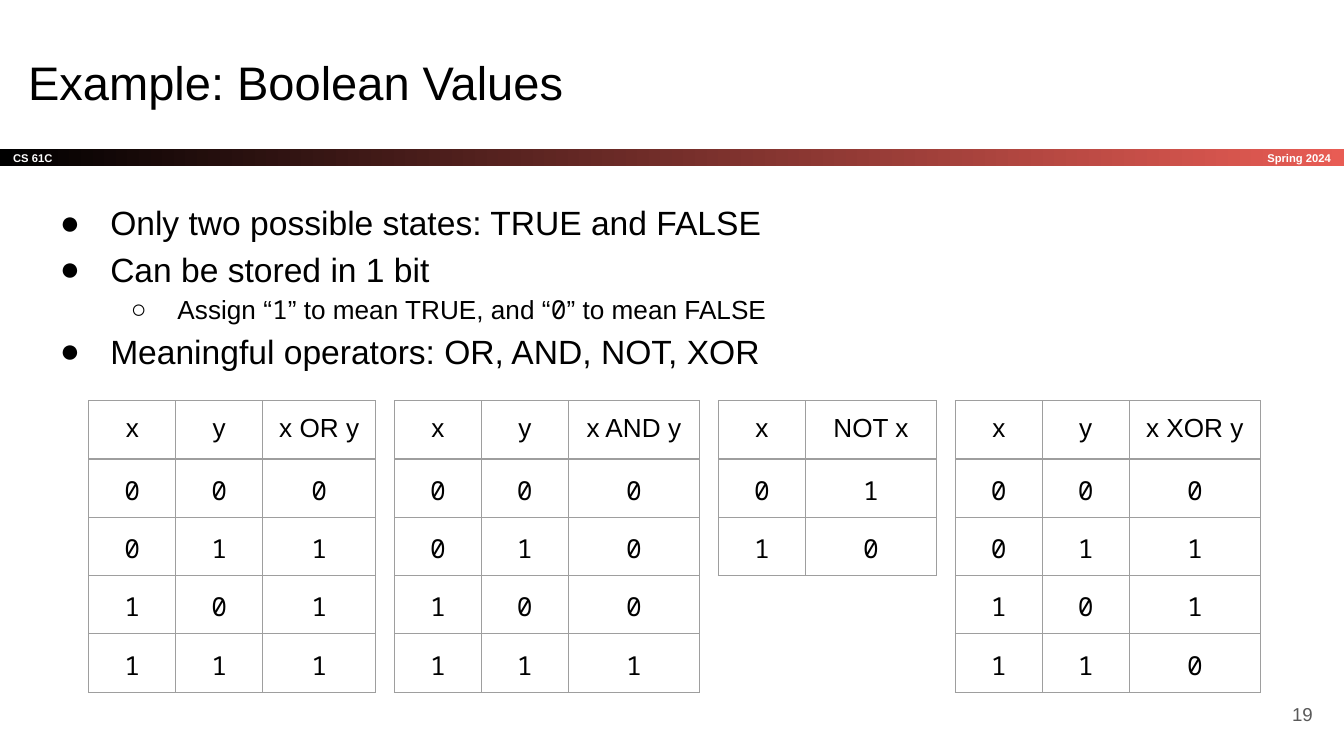
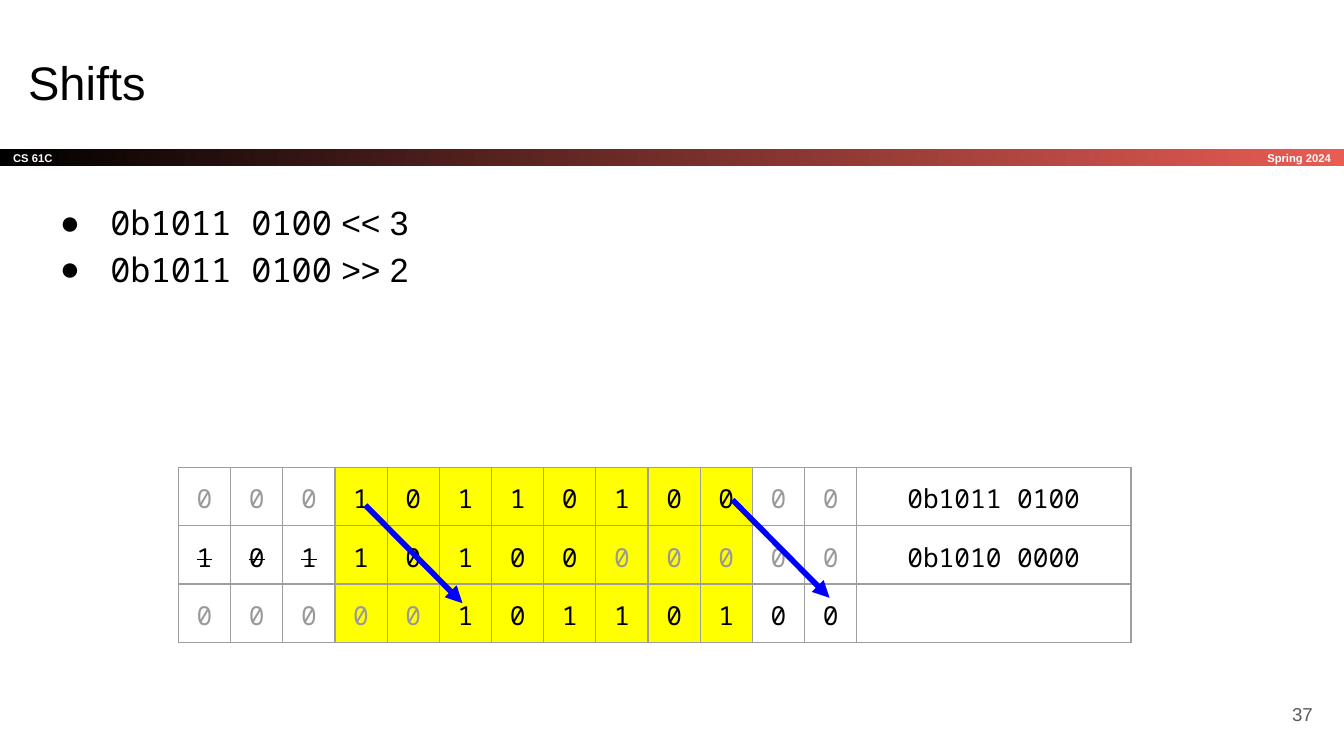
from lxml import etree
from pptx import Presentation
from pptx.dml.color import RGBColor
from pptx.enum.shapes import MSO_CONNECTOR as Connector, MSO_SHAPE as Shape
from pptx.enum.text import MSO_ANCHOR as Anchor, PP_ALIGN as Align
from pptx.oxml import parse_xml
from pptx.oxml.ns import nsdecls, qn
from pptx.util import Pt

COLORS = {
    "black": "000000", "white": "FFFFFF", "coral": "E85C54", "border": "9E9E9E",
    "dim": "999999", "number": "595959", "yellow": "FFFF00", "blue": "0000FF",
}
RGB = {name: RGBColor.from_string(value) for name, value in COLORS.items()}
SANS, MONO = "Arial", "Noto Sans Mono"
INSET = Pt(7.2)
WIDTH, HEIGHT = 720, 405
BAND_TOP, BAND_HEIGHT = 80, 8.75


def write(box, text, size, color="black", align=Align.LEFT, anchor=Anchor.TOP, bold=False):
    """Fill a shape with one line of text."""
    frame = box.text_frame
    frame.word_wrap = True
    frame.vertical_anchor = anchor
    frame.margin_left = frame.margin_right = frame.margin_top = frame.margin_bottom = INSET
    frame.text = text
    para = frame.paragraphs[0]
    para.alignment = align
    font = para.runs[0].font
    font.name, font.size, font.bold = SANS, Pt(size), bold
    font.color.rgb = RGB[color]


def add_grid(page, left, top, widths, row_height, rows):
    """Add a bordered table of centred 14 pt monospaced text."""
    grid = page.shapes.add_table(len(rows), len(widths), Pt(left), Pt(top),
                                 Pt(sum(widths)), Pt(row_height * len(rows))).table
    grid.first_row = grid.horz_banding = False
    for column, width in zip(grid.columns, widths):
        column.width = Pt(width)
    for r, row in enumerate(rows):
        grid.rows[r].height = Pt(row_height)
        for c, text in enumerate(row):
            cell = grid.cell(r, c)
            cell.margin_left = cell.margin_right = cell.margin_top = cell.margin_bottom = INSET
            for side in ("lnL", "lnR", "lnT", "lnB"):
                cell._tc.get_or_add_tcPr().append(parse_xml(
                    f'<a:{side} {nsdecls("a")} w="9525"><a:solidFill>'
                    f'<a:srgbClr val="{COLORS["border"]}"/></a:solidFill></a:{side}>'))
            cell.fill.background()
            para = cell.text_frame.paragraphs[0]
            para.text = text
            para.alignment = Align.CENTER
            for span in para.runs:
                span.font.name, span.font.size = MONO, Pt(14)
                span.font.color.rgb = RGB["black"]
            if not text:
                etree.SubElement(para._p, qn("a:endParaRPr"), sz="1400")
    return grid


deck = Presentation()
deck.slide_width, deck.slide_height = Pt(WIDTH), Pt(HEIGHT)

# Title, page number and bullets; backticks enclose monospaced text
CONTENT = [
    ("Example: Boolean Values", "19", [
        (0, "Only two possible states: TRUE and FALSE"),
        (0, "Can be stored in 1 bit"),
        (1, "Assign “`1`” to mean TRUE, and “`0`” to mean FALSE"),
        (0, "Meaningful operators: OR, AND, NOT, XOR"),
    ]),
    ("Shifts", "37", [
        (0, "`0b1011 0100` << 3"),
        (0, "`0b1011 0100` >> 2"),
    ]),
]
# Bullet character, text size, left margin and hanging indent by level
LEVELS = [("●", 18, 36, 27), ("○", 14, 72, 25)]

for title, number, bullets in CONTENT:
    page = deck.slides.add_slide(deck.slide_layouts[6])

    # Gradient band with course and term
    band = page.shapes.add_shape(Shape.RECTANGLE, 0, Pt(BAND_TOP), Pt(WIDTH), Pt(BAND_HEIGHT))
    band.shadow.inherit = False
    band.line.fill.background()
    band.fill.gradient()
    band.fill.gradient_angle = 0
    for stop, color in zip(band.fill.gradient_stops, ("black", "coral")):
        stop.color.rgb = RGB[color]
    write(band, "CS 61C", 6, "white", anchor=Anchor.MIDDLE, bold=True)
    term = page.shapes.add_textbox(Pt(600), Pt(BAND_TOP), Pt(120), Pt(BAND_HEIGHT))
    write(term, "Spring 2024", 6, "white", Align.RIGHT, Anchor.MIDDLE, True)

    # Title and page number
    heading = page.shapes.add_textbox(Pt(8), Pt(21.6), Pt(671), Pt(45.4))
    write(heading, title, 25.2)
    footer = page.shapes.add_textbox(Pt(667.2), Pt(367.2), Pt(43.2), Pt(31))
    write(footer, number, 10, "number", Align.RIGHT, Anchor.MIDDLE)

    # Bullets
    body = page.shapes.add_textbox(Pt(16), Pt(98), Pt(671), Pt(296.6))
    body.line.color.rgb = RGB["white"]
    body.line.width = Pt(0.75)
    frame = body.text_frame
    frame.word_wrap = True
    frame.margin_left = frame.margin_right = frame.margin_top = frame.margin_bottom = INSET
    for i, (level, text) in enumerate(bullets):
        mark, size, margin, hang = LEVELS[level]
        para = frame.add_paragraph() if i else frame.paragraphs[0]
        para.level = level
        para.line_spacing = 1.15
        props = para._p.get_or_add_pPr()
        props.set("marL", str(Pt(margin)))
        props.set("indent", str(-Pt(hang)))
        color = etree.SubElement(props, qn("a:buClr"))
        etree.SubElement(color, qn("a:srgbClr"), val=COLORS["black"])
        etree.SubElement(props, qn("a:buFont"), typeface=SANS)
        etree.SubElement(props, qn("a:buChar"), char=mark)
        for part, piece in enumerate(text.split("`")):
            if piece:
                span = para.add_run()
                span.text = piece
                span.font.name = MONO if part % 2 else SANS
                span.font.size = Pt(size)
                span.font.color.rgb = RGB["black"]

boolean_page, shift_page = deck.slides

# Truth tables: left edge, column widths, header, rows of bits
TRUTH_TABLES = [
    (47.6, (46.6, 46.6, 60.6), ("x", "y", "x OR y"), ("000", "011", "101", "111")),
    (211.3, (46.6, 46.6, 70.3), ("x", "y", "x AND y"), ("000", "010", "100", "111")),
    (384.9, (46.6, 70.3), ("x", "NOT x"), ("01", "10")),
    (511.8, (46.6, 46.6, 70.3), ("x", "y", "x XOR y"), ("000", "011", "101", "110")),
]
for left, widths, header, rows in TRUTH_TABLES:
    grid = add_grid(boolean_page, left, 214.6, widths, 31, [header, *rows])
    for c in range(len(header)):
        grid.cell(0, c).text_frame.paragraphs[0].runs[0].font.name = SANS

# Shift table: the byte slides across 13 bit columns, padded with dim zeros
BYTE, BITS, WINDOW = "10110100", 13, range(3, 11)
STARTS = (3, 0, 5)
RESULTS = ("0b1011 0100", "0b1010 0000", "")
rows = [[*("0" * start + BYTE).ljust(BITS, "0"), result]
        for start, result in zip(STARTS, RESULTS)]
grid = add_grid(shift_page, 95.6, 250.4, [27.97] * BITS + [146.9], 30.2, rows)
for r, start in enumerate(STARTS):
    for c in range(BITS):
        cell = grid.cell(r, c)
        font = cell.text_frame.paragraphs[0].runs[0].font
        if c in WINDOW:
            cell.fill.solid()
            cell.fill.fore_color.rgb = RGB["yellow"]
        if not start <= c < start + len(BYTE):
            font.color.rgb = RGB["dim"]
        elif c < WINDOW.start:
            font._element.set("strike", "sngStrike")

# Arrows from the first and last bit to their places after the right shift
for x, y in ((392.4, 267.8), (195.8, 270.7)):
    arrow = shift_page.shapes.add_connector(Connector.STRAIGHT, Pt(x), Pt(y),
                                            Pt(x + 52), Pt(y + 52.5))
    arrow.line.color.rgb = RGB["blue"]
    arrow.line.width = Pt(3)
    etree.SubElement(arrow.line._get_or_add_ln(), qn("a:tailEnd"), type="triangle")
    etree.SubElement(arrow._element.spPr, qn("a:effectLst"))

deck.save("out.pptx")
